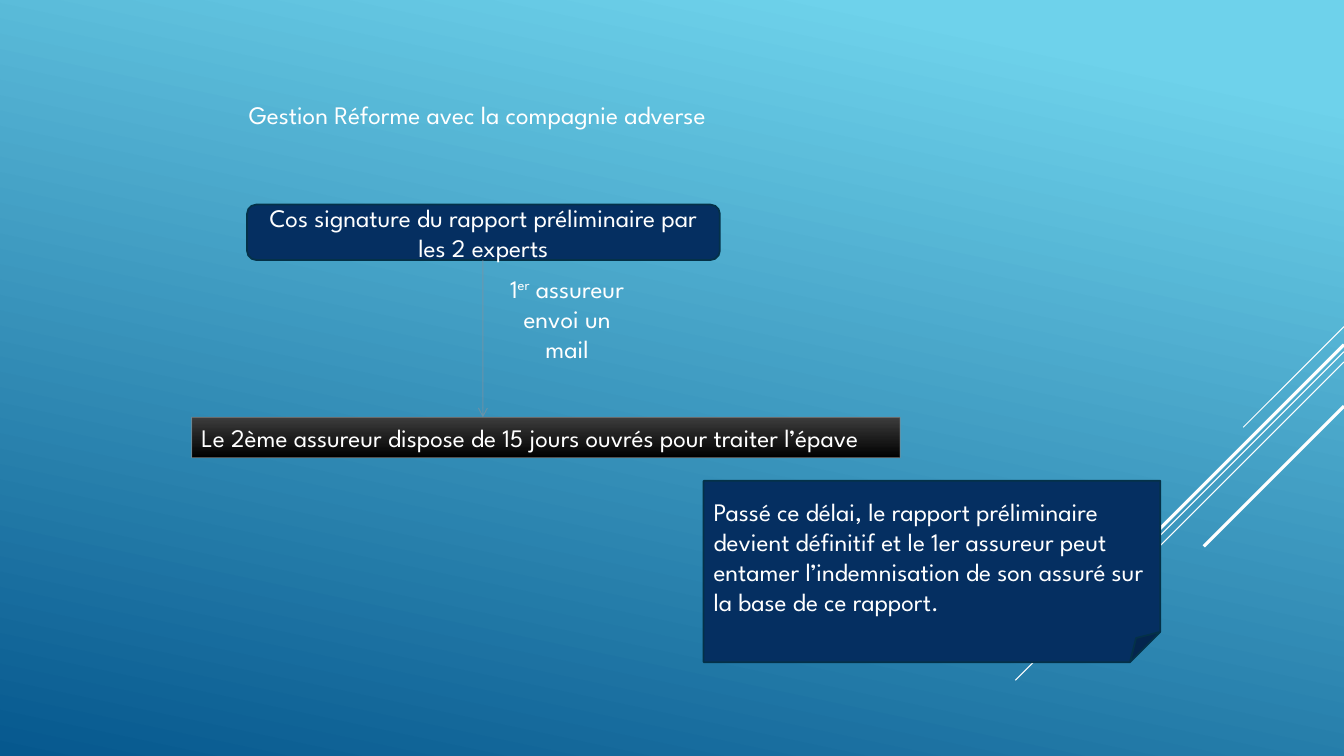
"""Builds the slide on settling a write-off with the opposing insurer."""
from pptx import Presentation
from pptx import util as u
from pptx.dml.color import RGBColor
from pptx.enum import shapes, text
from pptx.oxml import ns, xmlchemy

WIDTH, HEIGHT = u.Inches(13.33), u.Inches(7.5)
WHITE, NAVY, NAVY_EDGE = "FFFFFF", "052F61", "043148"
LEFT, CENTER = text.PP_ALIGN.LEFT, text.PP_ALIGN.CENTER


def color(value):
    """Turn a hex string into a colour."""
    return RGBColor.from_string(value)


def across(percent):
    """Measure a share of the slide width."""
    return round(WIDTH * percent / 100)


def down(percent):
    """Measure a share of the slide height."""
    return round(HEIGHT * percent / 100)


def place(area):
    """Convert left, top, width and height from shares to lengths."""
    left, top, width, height = area
    return across(left), down(top), across(width), down(height)


def blend(fill, stops, angle):
    """Fill with a two-stop gradient at a clockwise angle."""
    fill.gradient()
    fill.gradient_angle = 360 - angle
    for stop, (position, value) in zip(fill.gradient_stops, stops):
        stop.position = position
        stop.color.rgb = color(value)


def outline(item, value, points, opacity=100):
    """Set line colour, width and opacity."""
    item.line.color.rgb = color(value)
    item.line.width = u.Pt(points)
    if opacity < 100:
        tint = item.line.color._xFill.find(ns.qn("a:srgbClr"))
        alpha = xmlchemy.OxmlElement("a:alpha")
        alpha.set("val", str(opacity * 1000))
        tint.append(alpha)


def write(item, parts, align=LEFT, anchor=text.MSO_ANCHOR.TOP):
    """Write text parts, raising every second one as a superscript."""
    frame = item.text_frame
    frame.word_wrap = True
    frame.vertical_anchor = anchor
    paragraph = frame.paragraphs[0]
    paragraph.alignment = align
    for index, part in enumerate(parts):
        run = paragraph.add_run()
        run.text = part
        run.font.name = "League Spartan"
        run.font.size = u.Pt(18)
        run.font.color.rgb = color(WHITE)
        if index % 2:
            run.font._element.set("baseline", "30000")


def add_label(slide, area, parts, align=LEFT):
    """Add plain text on the background."""
    write(slide.shapes.add_textbox(*place(area)), parts, align)


def add_panel(slide, preset, area):
    """Add a shape without shadow."""
    panel = slide.shapes.add_shape(preset, *place(area))
    panel.shadow.inherit = False
    return panel


def add_step(slide, preset, area, wording, align=LEFT):
    """Add a navy panel with vertically centred text."""
    step = add_panel(slide, preset, area)
    step.fill.solid()
    step.fill.fore_color.rgb = color(NAVY)
    outline(step, NAVY_EDGE, 1.25)
    write(step, [wording], align, text.MSO_ANCHOR.MIDDLE)


def add_deadline(slide, area, wording):
    """Add the dark bar that states the deadline."""
    bar = add_panel(slide, shapes.MSO_SHAPE.RECTANGLE, area)
    blend(bar.fill, [(0, "3C3C3C"), (1, "000000")], 90)
    outline(bar, "898989", 0.75, 60)
    write(bar, [wording])


def add_line(slide, start, end, value, points, opacity=100, arrow=False):
    """Add a straight line, optionally with an arrowhead."""
    line = slide.shapes.add_connector(
        shapes.MSO_CONNECTOR.STRAIGHT,
        across(start[0]), down(start[1]), across(end[0]), down(end[1]))
    outline(line, value, points, opacity)
    if arrow:
        head = xmlchemy.OxmlElement("a:tailEnd")
        head.set("type", "arrow")
        line.line._get_or_add_ln().append(head)
    line._element.spPr.append(xmlchemy.OxmlElement("a:effectLst"))


def add_rays(slide):
    """Draw the 45-degree rays running in from the right edge."""
    rays = [(43.2, 7.5, 0.75), (46.53, 24.45, 0.75), (47.87, 15.53, 0.75),
            (45.6, 14.33, 2.25), (53.73, 10.43, 2.25)]
    for top, run, points in rays:
        end = (100 - run, top + run * WIDTH / HEIGHT)
        add_line(slide, (100, top), end, WHITE, points)


def main():
    """Compose and save the slide."""
    deck = Presentation()
    deck.slide_width, deck.slide_height = WIDTH, HEIGHT
    slide = deck.slides.add_slide(deck.slide_layouts[6])
    blend(slide.background.fill, [(0.1, "6ED2EB"), (1, "06588E")], 102)
    add_rays(slide)
    add_label(slide, (17.78, 12.53, 35.48, 5.33),
              ["Gestion Réforme avec la compagnie adverse"])
    add_deadline(slide, (14.25, 55.2, 52.73, 5.33),
                 "Le 2ème assureur dispose de 15 jours ouvrés pour traiter l’épave")
    add_step(slide, shapes.MSO_SHAPE.ROUNDED_RECTANGLE, (18.38, 27.07, 35.18, 7.33),
             "Cos signature du rapport préliminaire par les 2 experts", CENTER)
    add_step(slide, shapes.MSO_SHAPE.FOLDED_CORNER, (52.35, 63.6, 33.98, 24),
             "Passé ce délai, le rapport préliminaire devient définitif et le 1er "
             "assureur peut entamer l’indemnisation de son assuré sur la base de "
             "ce rapport.")
    add_line(slide, (35.93, 34.4), (35.93, 55.2), "89919C", 0.75, 60, arrow=True)
    add_label(slide, (37.2, 35.47, 9.98, 17.47),
              ["1", "er", " assureur envoi un mail"], CENTER)
    deck.save("out.pptx")


if __name__ == "__main__":
    main()
